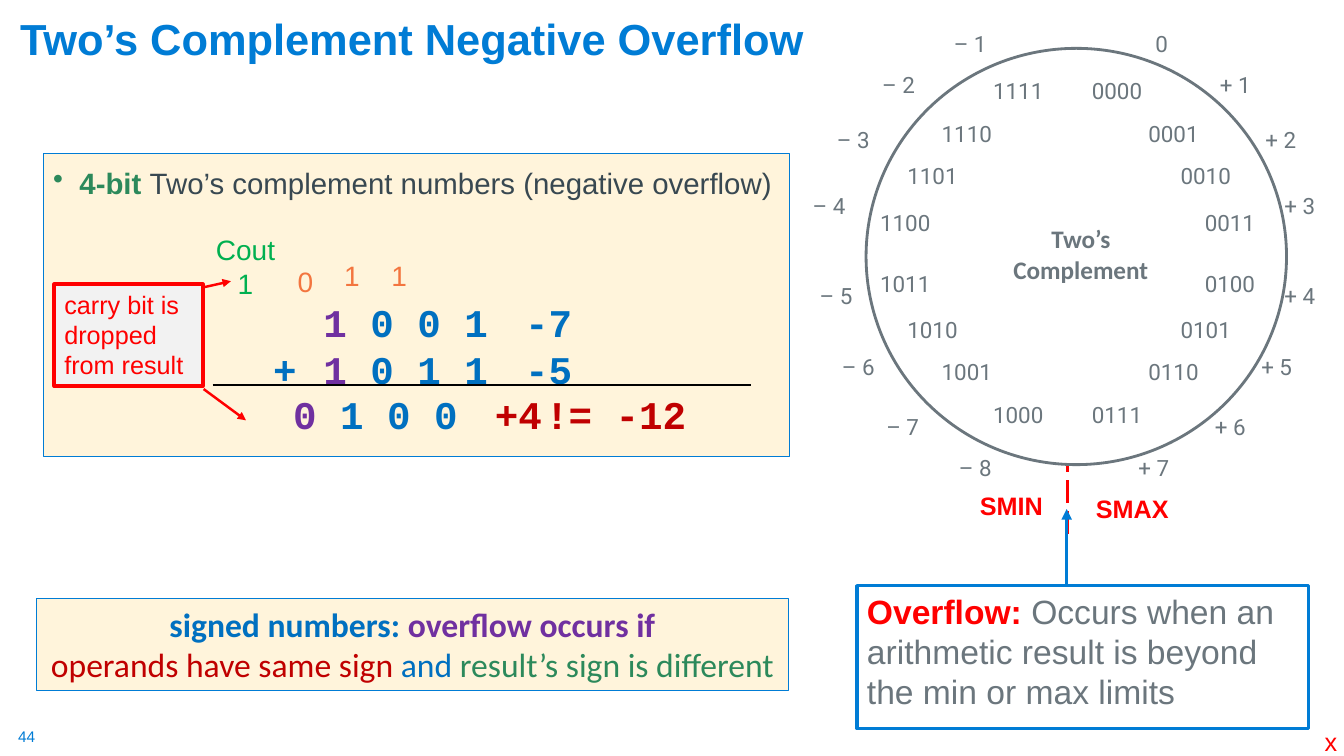
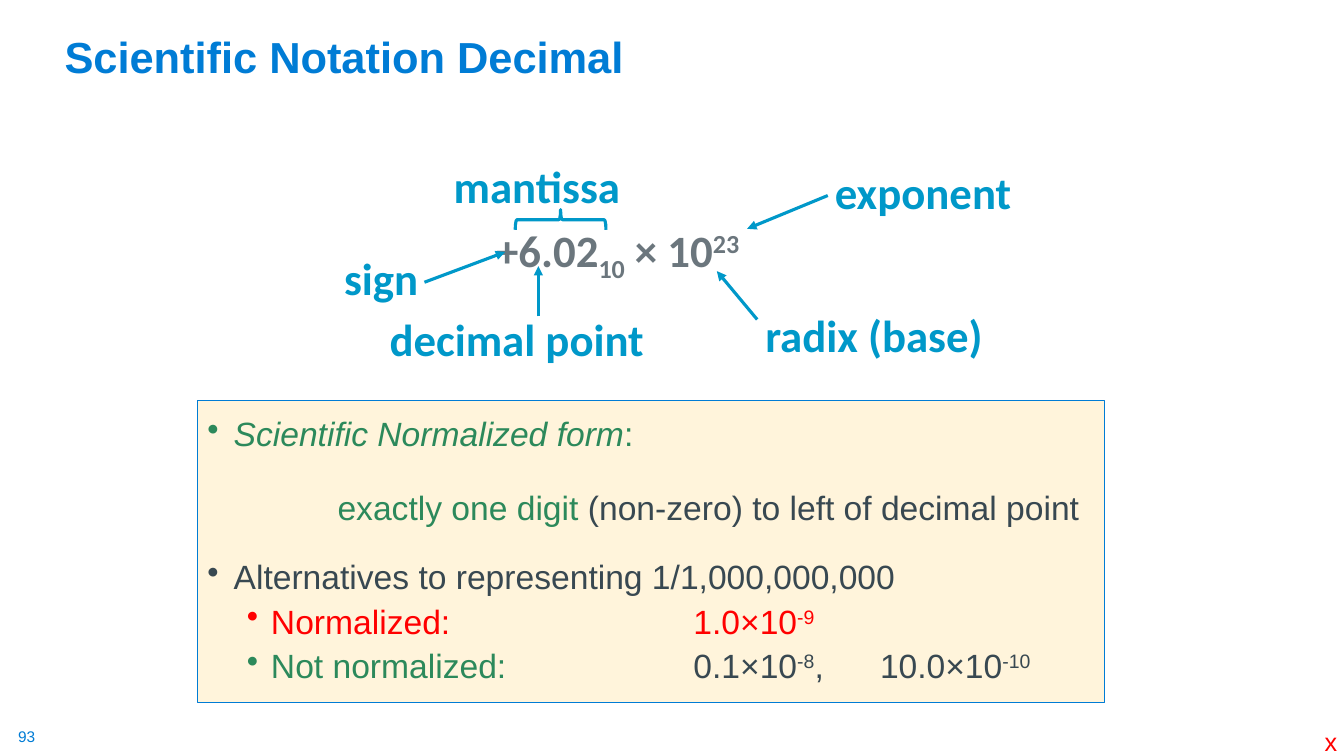
from dataclasses import dataclass

import pptx
import pptx.dml.color
import pptx.enum.dml
import pptx.enum.shapes
import pptx.enum.text
import pptx.oxml.ns
import pptx.util
from lxml import etree

RGB = pptx.dml.color.RGBColor
SHAPE = pptx.enum.shapes.MSO_SHAPE
ALIGN = pptx.enum.text.PP_ALIGN
ANCHOR = pptx.enum.text.MSO_ANCHOR
FIT = pptx.enum.text.MSO_AUTO_SIZE
qn = pptx.oxml.ns.qn

BLUE = RGB(0x00, 0x7C, 0xD5)
INK_BLUE = RGB(0x00, 0x70, 0xC0)
CYAN = RGB(0x00, 0x98, 0xC9)
PURPLE = RGB(0x70, 0x30, 0xA0)
GREEN = RGB(0x2C, 0x89, 0x5B)
CARRY_GREEN = RGB(0x00, 0xB0, 0x50)
ORANGE = RGB(0xF3, 0x75, 0x3F)
RED = RGB(0xFF, 0x00, 0x00)
DARK_RED = RGB(0xC0, 0x00, 0x00)
SLATE = RGB(0x38, 0x48, 0x51)
GREY = RGB(0x6B, 0x76, 0x7D)
PALE_GREY = RGB(0xF2, 0xF2, 0xF2)
CREAM = RGB(0xFF, 0xF4, 0xDB)
BLACK = RGB(0x00, 0x00, 0x00)
WHITE = RGB(0xFF, 0xFF, 0xFF)

EMU_PER_PX = 9144
DEFAULT_INSETS = (10, 5, 10, 5)
LABEL_INSETS = (7, 3, 7, 3)
NO_INSETS = (0, 0, 0, 0)


def px(length):
    return pptx.util.Emu(length * EMU_PER_PX)


@dataclass
class Span:
    text: str
    colour: RGB
    bold: bool = False
    italic: bool = False
    baseline: int = 0


@dataclass
class Para:
    spans: list
    align: int = ALIGN.LEFT
    spacing: object = 1.0
    before: int = 0
    margin: int = 0
    hanging: int = 0
    tabs: tuple = ()


class SlideBuilder:
    title_size = 31
    title_font = body_font = "Arial"

    def __init__(self, deck):
        self.deck = deck
        self.page = None

    def start(self, title, number, box):
        self.page = self.deck.slides.add_slide(self.deck.slide_layouts[5])
        heading = self.page.shapes.title
        heading.left, heading.top, heading.width, heading.height = map(px, box)
        self.set_text(heading, [Para([Span(title, BLUE, True)], spacing=0.9)],
                      self.title_size, self.title_font)
        heading.text_frame.vertical_anchor = ANCHOR.BOTTOM
        self.text((18, 721, 19, 19), str(number), 11, BLUE, insets=NO_INSETS)
        self.text((1304, 721, 23, 29), "x", 18, RED, insets=(10, 0, 0, 0))

    def set_text(self, shape, paras, size, font=None, insets=DEFAULT_INSETS, wrap=True):
        frame = shape.text_frame
        frame.word_wrap = wrap
        frame.auto_size = FIT.NONE if wrap else FIT.SHAPE_TO_FIT_TEXT
        frame.vertical_anchor = ANCHOR.TOP
        (frame.margin_left, frame.margin_top,
         frame.margin_right, frame.margin_bottom) = map(px, insets)
        for index, para in enumerate(paras):
            paragraph = frame.add_paragraph() if index else frame.paragraphs[0]
            self.layout(paragraph, para)
            for span in para.spans:
                run = paragraph.add_run()
                run.text = span.text
                run.font.name = font or self.body_font
                run.font.size = pptx.util.Pt(size)
                run.font.bold = span.bold
                run.font.italic = span.italic
                run.font.color.rgb = span.colour
                if span.baseline:
                    run.font._element.set("baseline", str(span.baseline * 1000))

    def layout(self, paragraph, para):
        """Set alignment, spacing, indents, bullet and tab stops."""
        properties = paragraph._p.get_or_add_pPr()
        properties.set("marL", str(px(para.margin)))
        properties.set("indent", str(px(-para.hanging)))
        if para.hanging:
            etree.SubElement(properties, qn("a:buChar")).set("char", "•")
        if para.tabs:
            stops = etree.SubElement(properties, qn("a:tabLst"))
            for position in para.tabs:
                stop = etree.SubElement(stops, qn("a:tab"))
                stop.set("pos", str(px(position)))
                stop.set("algn", "l")
        paragraph.alignment = para.align
        paragraph.line_spacing = para.spacing
        paragraph.space_before = pptx.util.Pt(para.before)

    def rich_text(self, box, paras, size, font=None, insets=DEFAULT_INSETS, wrap=False):
        shape = self.page.shapes.add_textbox(*map(px, box))
        self.set_text(shape, paras, size, font, insets, wrap)

    def text(self, box, words, size, colour, font=None, bold=False,
             insets=DEFAULT_INSETS, align=ALIGN.LEFT, spacing=1.0):
        """Add a one-colour text box with a paragraph for each line of words."""
        paras = [Para([Span(line, colour, bold)], align, spacing)
                 for line in words.split("\n")]
        self.rich_text(box, paras, size, font, insets)

    def shape(self, kind, box, fill, line, weight):
        shape = self.page.shapes.add_shape(kind, *map(px, box))
        shape.shadow.inherit = False
        if fill is None:
            shape.fill.background()
        else:
            shape.fill.solid()
            shape.fill.fore_color.rgb = fill
        shape.line.color.rgb = line
        shape.line.width = pptx.util.Pt(weight)
        return shape

    def panel(self, box, paras, size, font=None, fill=CREAM, line=BLUE, weight=0.75):
        shape = self.shape(SHAPE.RECTANGLE, box, fill, line, weight)
        self.set_text(shape, paras, size, font)

    def line(self, start, end, colour, weight, arrow=False, dash=None):
        connector = self.page.shapes.add_connector(
            pptx.enum.shapes.MSO_CONNECTOR.STRAIGHT, *map(px, start + end))
        connector.line.color.rgb = colour
        connector.line.width = pptx.util.Pt(weight)
        if dash:
            connector.line.dash_style = dash
        if arrow:
            tip = etree.SubElement(connector.line._get_or_add_ln(), qn("a:tailEnd"))
            tip.set("type", "triangle")
        etree.SubElement(connector._element.spPr, qn("a:effectLst"))


def draw_addition(slide):
    """Draw the binary sum with its carries, rule and result."""
    operand_tabs = (23, 70, 447)
    operands = [("\t\t", " 0 0 1\t-7"), ("\t+\t", " 0 1 1\t-5")]
    slide.rich_text((211, 291, 528, 104), [
        Para([Span(lead, INK_BLUE, True), Span("1", PURPLE, True),
              Span(rest, INK_BLUE, True)], tabs=operand_tabs)
        for lead, rest in operands], 28, "Courier New", wrap=True)
    slide.line((211, 382), (745, 382), BLACK, 2)
    slide.rich_text((281, 382, 467, 57), [
        Para([Span("0", PURPLE, True), Span(" 1 0 0\t", INK_BLUE, True),
              Span("+4\t!= -12", DARK_RED, True)], tabs=(200, 293))],
        28, "Courier New", wrap=True)
    slide.text((204, 226, 79, 77), "Cout\n1", 20, CARRY_GREEN, align=ALIGN.CENTER)
    for left, top, carry in [(285, 258, "0"), (331, 252, "1"), (378, 252, "1")]:
        slide.text((left, top, 36, 44), carry, 20, ORANGE, align=ALIGN.CENTER)


def draw_number_wheel(slide):
    """Draw the ring of 4-bit codes with their signed values outside."""
    code_tops = [77, 119, 161, 208, 268, 314, 356, 398]
    code_rights = [1083, 1139, 1171, 1195]
    code_lefts = [985, 934, 900, 873]
    value_tops = [30, 71, 125, 191, 280, 351, 410, 451]
    value_rights = [1146, 1210, 1255, 1274, 1274, 1251, 1205, 1129]
    value_lefts = [946, 875, 830, 806, 813, 835, 879, 951]

    def label(left, top, width, words):
        slide.text((left, top, width, 33), words, 16, GREY, "Roboto",
                   insets=NO_INSETS, spacing=pptx.util.Pt(19))

    slide.shape(SHAPE.OVAL, (859, 48, 417, 413), WHITE, GREY, 2)
    for row in range(8):
        column = min(row, 7 - row)
        label(code_rights[column], code_tops[row], 60, f"{row:04b}")
        label(code_lefts[column], code_tops[row], 60, f"{15 - row:04b}")
        label(value_rights[row], value_tops[row], 44 if row else 15,
              f"+ {row}" if row else "0")
        label(value_lefts[row], value_tops[row], 39, f"– {row + 1}")
    slide.rich_text((992, 217, 160, 78), [
        Para([Span(word, GREY, True)], ALIGN.CENTER)
        for word in ("Two’s", "Complement")], 18, "Calibri", wrap=True)


def draw_overflow(slide):
    slide.start("Two’s Complement Negative Overflow", 44, (10, 11, 883, 58))
    slide.panel((43, 152, 740, 301), [
        Para([Span("4-bit ", GREEN, True),
              Span("Two’s complement numbers (negative overflow)", SLATE)],
             spacing=1.2, margin=26, hanging=26)], 21)
    draw_addition(slide)
    slide.panel((36, 594, 746, 91), [
        Para([Span("signed numbers: ", INK_BLUE, True),
              Span("overflow occurs if", PURPLE, True)], ALIGN.CENTER),
        Para([Span("operands have same sign", DARK_RED), Span(" and ", INK_BLUE),
              Span("result’s sign is different", GREEN)], ALIGN.CENTER)],
        24, "Calibri")

    slide.text((962, 482, 83, 40), "SMIN", 18, RED, bold=True)
    slide.text((1077, 484, 93, 40), "SMAX", 18, RED, bold=True)
    slide.line((1059, 384), (1059, 530), RED, 2,
               dash=pptx.enum.dml.MSO_LINE.LONG_DASH)
    draw_number_wheel(slide)

    slide.panel((850, 581, 448, 142), [
        Para([Span("Overflow: ", RED, True),
              Span("Occurs when an arithmetic result is beyond the min or max limits",
                   GREY)])], 24, fill=None, weight=2.25)
    slide.line((1058, 581), (1058, 505), BLUE, 2.5, arrow=True)
    slide.panel((54, 282, 147, 101),
                [Para([Span("carry bit is dropped from result", RED)])],
                18, fill=PALE_GREY, line=RED, weight=2.75)
    slide.line((202, 285), (229, 279), RED, 1.75, arrow=True)
    slide.line((202, 386), (244, 417), RED, 1.75, arrow=True)


def draw_notation(slide):
    slide.start("Scientific Notation Decimal", 93, (54, 9, 1150, 78))
    columns = (482, 667)
    slide.panel((196, 397, 900, 300), [
        Para([Span("Scientific Normalized form", GREEN, italic=True),
              Span(":", GREEN)], spacing=1.2, margin=26, hanging=26),
        Para([Span("exactly one digit ", GREEN),
              Span("(non-zero) to left of decimal point", SLATE)],
             spacing=1.2, before=18, margin=129),
        Para([Span("Alternatives to representing 1/1,000,000,000", SLATE)],
             spacing=1.1, before=18, margin=26, hanging=26),
        Para([Span("Normalized:\t1.0×10", RED), Span("-9", RED, baseline=30)],
             spacing=1.1, margin=63, hanging=24, tabs=columns),
        Para([Span("Not normalized:", GREEN), Span("\t0.1×10", SLATE),
              Span("-8", SLATE, baseline=30), Span(",\t10.0×10", SLATE),
              Span("-10", SLATE, baseline=30)],
             spacing=1.1, margin=63, hanging=24, tabs=columns)], 24)

    slide.rich_text((485, 221, 266, 52), [
        Para([Span("+6.02", GREY, True), Span("10", GREY, True, baseline=-25),
              Span(" × 10", GREY, True), Span("23", GREY, True, baseline=30)],
             spacing=0.85)], 32, "Calibri", LABEL_INSETS)
    labels = [
        ((752, 310, 232, 52), "radix (base)", ALIGN.LEFT),
        ((376, 314, 270, 52), "decimal point", ALIGN.RIGHT),
        ((821, 169, 191, 52), "exponent", ALIGN.LEFT),
        ((443, 163, 181, 52), "mantissa", ALIGN.LEFT),
        ((334, 254, 88, 52), "sign", ALIGN.RIGHT),
    ]
    for box, words, align in labels:
        slide.text(box, words, 32, CYAN, "Calibri", True, LABEL_INSETS, align, 0.85)
    arrows = [((751, 317), (711, 269)), ((534, 314), (534, 264)),
              ((821, 194), (741, 227)), ((421, 280), (501, 250))]
    for start, tip in arrows:
        slide.line(start, tip, CYAN, 2.25, arrow=True)
    brace = slide.shape(SHAPE.LEFT_BRACE, (546, 173, 20, 90), None, CYAN, 2.25)
    brace.rotation = 90


def main():
    deck = pptx.Presentation()
    deck.slide_width, deck.slide_height = px(1333), px(750)
    slide = SlideBuilder(deck)
    draw_overflow(slide)
    draw_notation(slide)
    deck.save("out.pptx")


if __name__ == "__main__":
    main()
